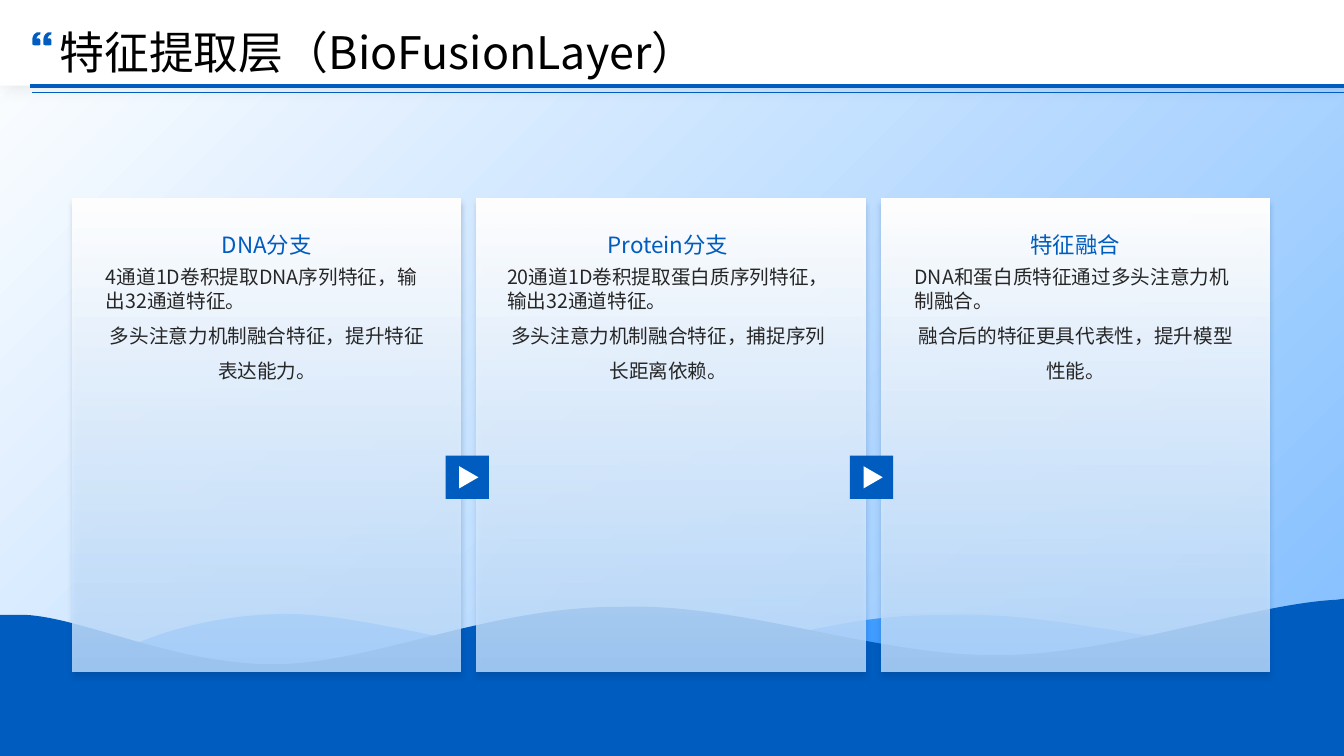
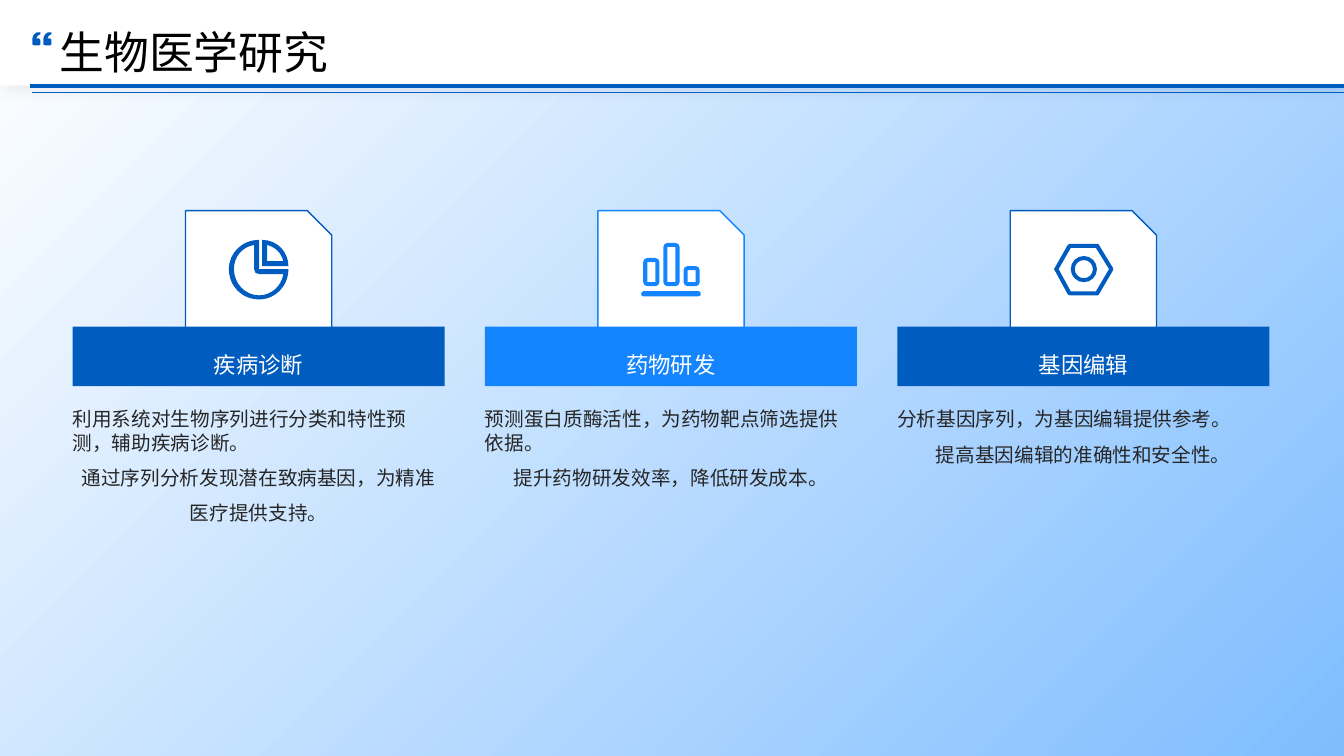
import pptx
import pptx.dml.color
import pptx.enum.shapes
import pptx.enum.text
import pptx.oxml.ns
import pptx.util
from lxml import etree

Inches = pptx.util.Inches
Pt = pptx.util.Pt
RGBColor = pptx.dml.color.RGBColor
SHAPE = pptx.enum.shapes.MSO_SHAPE
ALIGN = pptx.enum.text.PP_ALIGN
ANCHOR = pptx.enum.text.MSO_ANCHOR
qn = pptx.oxml.ns.qn

# Shared look
SLIDE_W, SLIDE_H = 13.33, 7.5
FONT = "Noto Sans CJK SC"
WHITE = RGBColor(0xFF, 0xFF, 0xFF)
BLACK = RGBColor(0x00, 0x00, 0x00)
INK = RGBColor(0x26, 0x26, 0x26)
BLUE = RGBColor(0x00, 0x5C, 0xBF)
BRIGHT_BLUE = RGBColor(0x15, 0x85, 0xFF)
WAVE_BLUE = RGBColor(0x40, 0x9C, 0xFF)
SKY = RGBColor(0x7F, 0xBD, 0xFF)
PALE_SKY = RGBColor(0xBF, 0xDE, 0xFF)
NAVY = RGBColor(0x00, 0x2E, 0x60)


# Contours: a start, then line points (x, y) or Bezier curves (six numbers)
def shifted(contour, dx, dy):
    return [tuple(v + (dy if i % 2 else dx) for i, v in enumerate(part))
            for part in contour]


def rounded_box(x, y, w, h, radius):
    right, bottom, k = x + w, y + h, radius * 0.45
    return [
        (x + radius, y), (right - radius, y),
        (right - k, y, right, y + k, right, y + radius), (right, bottom - radius),
        (right, bottom - k, right - k, bottom, right - radius, bottom),
        (x + radius, bottom), (x + k, bottom, x, bottom - k, x, bottom - radius),
        (x, y + radius), (x, y + k, x + k, y, x + radius, y),
    ]


def plain_box(x, y, w, h):
    return [(x, y), (x + w, y), (x + w, y + h), (x, y + h)]


QUOTE_MARK = [
    (0.06, 0.13), (0.02, 0.13), (0.01, 0.13, 0, 0.12, 0, 0.12), (0, 0.07),
    (0, 0.05, 0.01, 0.03, 0.02, 0.02), (0.03, 0, 0.05, 0, 0.08, 0), (0.08, 0.02),
    (0.06, 0.02, 0.05, 0.04, 0.04, 0.06), (0.06, 0.06),
    (0.07, 0.06, 0.08, 0.07, 0.08, 0.08), (0.08, 0.12),
    (0.08, 0.13, 0.07, 0.13, 0.06, 0.13),
]
QUOTE = [QUOTE_MARK, shifted(QUOTE_MARK, 0.11, 0)]
BACK_WAVE = [
    (2.85, 6.09), (3.71, 6.09, 5.09, 6.57, 6.17, 6.57),
    (7.26, 6.57, 8.05, 6.09, 9.36, 6.1), (10.55, 6.06, 11.43, 6.42, 12.54, 6.39),
    (12.68, 6.39, 12.83, 6.38, 12.98, 6.36), (13.33, 6.32), (13.33, 7.5),
    (1.22, 7.5), (1.26, 7.41), (1.31, 7.3, 1.42, 7.26, 1.38, 7.12),
    (1.34, 6.97, 0.77, 6.73, 1.02, 6.56), (1.26, 6.38, 1.99, 6.09, 2.85, 6.09),
]
FRONT_WAVE = [
    (13.33, 5.94), (13.33, 7.5), (0, 7.5), (0, 6.1), (0.05, 6.1),
    (0.11, 6.1, 0.18, 6.1, 0.25, 6.1), (0.84, 6.13, 1.75, 6.6, 2.74, 6.59),
    (3.72, 6.58, 4.86, 6.01, 6.17, 6.02), (7.36, 5.98, 8.72, 6.52, 9.93, 6.5),
    (11.06, 6.49, 12.42, 5.99, 13.26, 5.95),
]

# Icons in a 0.59 inch square; inner contours are holes
PIE_ICON = [
    [(0.38, 0.05), (0.38, 0.21), (0.54, 0.21), (0.52, 0.13, 0.46, 0.07, 0.38, 0.05)],
    [(0.25, 0.05), (0.13, 0.07, 0.05, 0.17, 0.05, 0.29),
     (0.05, 0.43, 0.16, 0.55, 0.3, 0.55), (0.42, 0.55, 0.52, 0.46, 0.54, 0.34),
     (0.3, 0.34), (0.27, 0.34, 0.25, 0.32, 0.25, 0.29)],
    [(0.33, 0), (0.48, 0, 0.59, 0.12, 0.59, 0.26), (0.33, 0.26)],
    [(0.3, 0), (0.3, 0.29), (0.59, 0.29), (0.59, 0.46, 0.46, 0.59, 0.3, 0.59),
     (0.13, 0.59, 0, 0.46, 0, 0.29), (0, 0.13, 0.13, 0, 0.3, 0)],
]
BARS_ICON = [rounded_box(0, 0.51, 0.59, 0.05, 0.02)]
for bar_x, bar_y in ((0.02, 0.18), (0.22, 0.03), (0.42, 0.26)):
    BARS_ICON += [rounded_box(bar_x, bar_y, 0.16, 0.46 - bar_y, 0.04),
                  plain_box(bar_x + 0.04, bar_y + 0.04, 0.08, 0.38 - bar_y)]
NUT_ICON = [
    rounded_box(0.21, 0.2, 0.18, 0.18, 0.09),
    rounded_box(0.17, 0.16, 0.26, 0.26, 0.13),
    [(0.17, 0.08), (0.05, 0.29), (0.17, 0.51), (0.42, 0.51), (0.55, 0.29), (0.42, 0.08)],
    [(0.16, 0.04), (0.43, 0.04), (0.44, 0.04, 0.45, 0.04, 0.45, 0.05), (0.59, 0.28),
     (0.59, 0.29, 0.59, 0.3, 0.59, 0.3), (0.45, 0.54),
     (0.45, 0.55, 0.44, 0.55, 0.43, 0.55), (0.16, 0.55),
     (0.15, 0.55, 0.15, 0.55, 0.14, 0.54), (0.01, 0.3),
     (0, 0.3, 0, 0.29, 0.01, 0.28), (0.14, 0.05), (0.15, 0.04, 0.15, 0.04, 0.16, 0.04)],
]

BRANCHES = [  # heading, body paragraphs, text inset
    ("DNA分支", ["4通道1D卷积提取DNA序列特征，输出32通道特征。",
               "多头注意力机制融合特征，提升特征表达能力。"], 0.33),
    ("Protein分支", ["20通道1D卷积提取蛋白质序列特征，输出32通道特征。",
                   "多头注意力机制融合特征，捕捉序列长距离依赖。"], 0.3),
    ("特征融合", ["DNA和蛋白质特征通过多头注意力机制融合。",
              "融合后的特征更具代表性，提升模型性能。"], 0.33),
]
FIELDS = [  # heading, colour, icon, body paragraphs
    ("疾病诊断", BLUE, PIE_ICON,
     ["利用系统对生物序列进行分类和特性预测，辅助疾病诊断。",
      "通过序列分析发现潜在致病基因，为精准医疗提供支持。"]),
    ("药物研发", BRIGHT_BLUE, BARS_ICON,
     ["预测蛋白质酶活性，为药物靶点筛选提供依据。",
      "提升药物研发效率，降低研发成本。"]),
    ("基因编辑", BLUE, NUT_ICON,
     ["分析基因序列，为基因编辑提供参考。",
      "提高基因编辑的准确性和安全性。"]),
]


def paint(shape, fill, line=None):
    shape.shadow.inherit = False
    shape.fill.solid()
    shape.fill.fore_color.rgb = fill
    if line is None:
        shape.line.fill.background()
    else:
        shape.line.color.rgb = line
        shape.line.width = Pt(1)
    return shape


def add_block(slide, kind, x, y, w, h, fill=WHITE, line=None):
    block = slide.shapes.add_shape(kind, Inches(x), Inches(y), Inches(w), Inches(h))
    return paint(block, fill, line)


def set_alpha(color, percent):
    etree.SubElement(color, qn("a:alpha"), val=str(percent * 1000))


def add_gradient(shape, end, angle, end_alpha=100):
    shape.fill.gradient()
    shape.fill.gradient_angle = 360 - angle
    for stop, color in zip(shape.fill.gradient_stops, (WHITE, end)):
        stop.color.rgb = color
    if end_alpha < 100:
        set_alpha(shape.element.spPr.findall(".//" + qn("a:srgbClr"))[-1], end_alpha)


def add_shadow(shape, color, alpha, blur, distance, angle):
    effects = shape.element.spPr.find(qn("a:effectLst"))
    shadow = etree.SubElement(
        effects, qn("a:outerShdw"), blurRad=str(Pt(blur)), dist=str(Pt(distance)),
        dir=str(angle * 60000), algn="ctr", rotWithShape="0")
    set_alpha(etree.SubElement(shadow, qn("a:srgbClr"), val=str(color)), alpha)


def add_outline(slide, contours, fill, x=0, y=0):
    """Draw the contours as one freeform, then bend the curved segments."""
    contours = [[tuple(Inches(v) for v in part) for part in shifted(contour, x, y)]
                for contour in contours]
    builder = slide.shapes.build_freeform(*contours[0][0])
    for index, contour in enumerate(contours):
        if index:
            builder.move_to(*contour[0])
        builder.add_line_segments([part[-2:] for part in contour[1:]], close=True)
    outline = paint(builder.convert_to_shape(), fill)

    parts = [part for contour in contours for part in contour[1:]]
    for segment, part in zip(list(outline.element.iter(qn("a:lnTo"))), parts):
        if len(part) == 6:
            curve = etree.Element(qn("a:cubicBezTo"))
            for px, py in zip(part[::2], part[1::2]):
                etree.SubElement(curve, qn("a:pt"), x=str(px - outline.left),
                                 y=str(py - outline.top))
            segment.getparent().replace(segment, curve)


def add_text(slide, x, y, w, h, paragraphs, size, color, anchor=ANCHOR.TOP):
    """Each paragraph is (text, alignment, line spacing)."""
    box = slide.shapes.add_textbox(Inches(x), Inches(y), Inches(w), Inches(h))
    frame = box.text_frame
    frame.word_wrap = True
    frame.vertical_anchor = anchor
    frame.margin_left = frame.margin_right = frame.margin_top = frame.margin_bottom = 0
    for index, (text, align, spacing) in enumerate(paragraphs):
        paragraph = frame.add_paragraph() if index else frame.paragraphs[0]
        paragraph.alignment = align
        paragraph.line_spacing = spacing
        paragraph._p.get_or_add_pPr().set("hangingPunct", "0")
        run = paragraph.add_run()
        run.text = text
        run.font.size = Pt(size)
        run.font.name = FONT
        run.font.color.rgb = color
        etree.SubElement(run.font._element, qn("a:ea"), typeface=FONT)


def add_body(slide, x, y, w, h, texts):
    lead, detail = texts
    add_text(slide, x, y, w, h,
             [(lead, ALIGN.LEFT, 1.0), (detail, ALIGN.CENTER, 1.5)], 14, INK)


def add_backdrop(slide):
    backdrop = add_block(slide, SHAPE.RECTANGLE, 0, 0, SLIDE_W, SLIDE_H)
    add_gradient(backdrop, SKY, 45)


def add_header(slide, title):
    band = add_block(slide, SHAPE.RECTANGLE, 0, 0, SLIDE_W, 0.85)
    add_shadow(band, BLACK, 10, 13, 0, 0)
    add_text(slide, 0.59, 0.25, 12.17, 0.47, [(title, ALIGN.LEFT, 1.1)],
             32, BLACK, ANCHOR.MIDDLE)
    add_outline(slide, QUOTE, BLUE, 0.32, 0.32)
    for y, width, cap in ((0.85, 3, "sq"), (0.92, 0.75, "flat")):
        rule = slide.shapes.add_connector(
            pptx.enum.shapes.MSO_CONNECTOR.STRAIGHT,
            Inches(0.32), Inches(y), Inches(SLIDE_W), Inches(y))
        rule.line.color.rgb = BLUE
        rule.line.width = Pt(width)
        rule.element.spPr.find(qn("a:ln")).set("cap", cap)
        etree.SubElement(rule.element.spPr, qn("a:effectLst"))


def add_branch_card(slide, x, y):
    card = add_block(slide, SHAPE.RECTANGLE, x, y, 3.85, 4.69)
    add_gradient(card, PALE_SKY, 90, 82)
    add_shadow(card, NAVY, 25, 4, 3, 90)


def add_step_arrow(slide, x, y):
    add_block(slide, SHAPE.RECTANGLE, x, y, 0.43, 0.43, BLUE)
    pointer = add_block(slide, SHAPE.ISOSCELES_TRIANGLE, x + 0.12, y + 0.12, 0.22, 0.19)
    pointer.rotation = 90


def add_branch_text(slide, x, y, heading, texts):
    add_text(slide, x, y, 3.19, 0.42, [(heading, ALIGN.CENTER, 1.5)],
             16, BLUE, ANCHOR.BOTTOM)
    add_body(slide, x, y + 0.49, 3.2, 3.78, texts)


def add_field(slide, x, y, heading, color, icon, texts):
    add_block(slide, SHAPE.SNIP_1_RECTANGLE, x + 1.12, y, 1.45, 1.45, WHITE, color)
    add_block(slide, SHAPE.RECTANGLE, x, y + 1.15, 3.69, 0.59, color)
    add_body(slide, x, y + 1.95, 3.69, 1.28, texts)
    add_text(slide, x + 0.1, y + 1.21, 3.49, 0.45, [(heading, ALIGN.CENTER, 1.3)],
             16, WHITE, ANCHOR.BOTTOM)
    add_outline(slide, icon, color, x + 1.55, y + 0.29)


def build_fusion_slide(slide):
    add_backdrop(slide)
    add_outline(slide, [BACK_WAVE], WAVE_BLUE)
    add_outline(slide, [FRONT_WAVE], BLUE)
    lefts = [0.72 + 4.01 * i for i in range(len(BRANCHES))]
    for x in lefts:
        add_branch_card(slide, x, 1.97)
    for x in lefts[:-1]:
        add_step_arrow(slide, x + 3.7, 4.52)
    for x, (heading, texts, inset) in zip(lefts, BRANCHES):
        add_branch_text(slide, x + inset, 2.14, heading, texts)
    add_header(slide, "特征提取层（BioFusionLayer）")


def build_research_slide(slide):
    add_backdrop(slide)
    for i, field in enumerate(FIELDS):
        add_field(slide, 0.72 + 4.09 * i, 2.09, *field)
    add_header(slide, "生物医学研究")


def main():
    deck = pptx.Presentation()
    deck.slide_width, deck.slide_height = Inches(SLIDE_W), Inches(SLIDE_H)
    for build in (build_fusion_slide, build_research_slide):
        build(deck.slides.add_slide(deck.slide_layouts[6]))
    deck.save("out.pptx")


if __name__ == "__main__":
    main()
